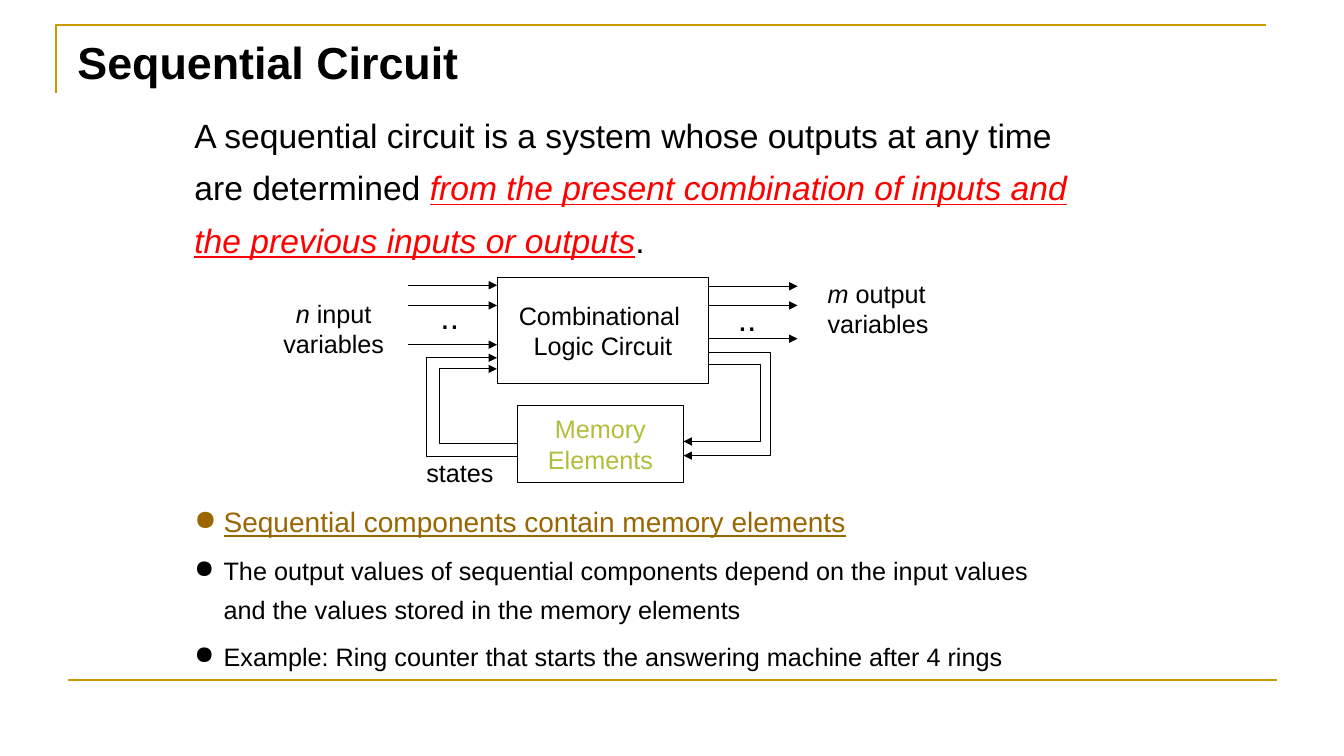
from lxml import etree
from pptx import Presentation
from pptx.dml.color import RGBColor
from pptx.enum.shapes import MSO_CONNECTOR, MSO_SHAPE
from pptx.enum.text import MSO_ANCHOR, MSO_AUTO_SIZE, PP_ALIGN
from pptx.oxml.ns import qn
from pptx.util import Inches, Pt

STRAIGHT, RECTANGLE = MSO_CONNECTOR.STRAIGHT, MSO_SHAPE.RECTANGLE
LEFT, CENTER = PP_ALIGN.LEFT, PP_ALIGN.CENTER
MIDDLE, GROW = MSO_ANCHOR.MIDDLE, MSO_AUTO_SIZE.SHAPE_TO_FIT_TEXT

SLIDE_W, SLIDE_H = 13.33, 7.5
COLORS = {"ink": "000000", "paper": "FFFFFF", "gold": "CC9900",
          "red": "FF0000", "brown": "996600", "lime": "AFBF39"}
FONT = "Arial"
BODY_LEFT = 1.83

# A paragraph is a list of (text, format) runs.
BASE = {"size": 18, "color": "ink"}
ITALIC = {"italic": True}
BIG = {"size": 24}
TITLE = [[("Sequential Circuit", {"size": 32, "bold": True})]]
DEFINITION = [[
    ("A sequential circuit is a system whose outputs at any time are determined ", BIG),
    ("from the present combination of inputs and the previous inputs or outputs",
     {"size": 24, "color": "red", "italic": True, "underline": True}),
    (".", BIG)]]
BULLETS = [
    [("Sequential components contain memory elements",
      {"size": 20, "color": "brown", "underline": True})],
    [("The output values of sequential components depend on the input values "
      "and the values stored in the memory elements", {})],
    [("Example: Ring counter that starts the answering machine after 4 rings", {})]]
LOGIC = [[("Combinational ", {})], [("Logic Circuit", {})]]
MEMORY = [[("Memory", {"color": "lime"})], [("Elements", {"color": "lime"})]]
INPUTS = [[("n", ITALIC), (" input", {})], [("variables", {})]]
OUTPUTS = [[("m", ITALIC), (" output", {})], [("variables", {})]]
DOTS = [[("..", BIG)]]
STATES = [[("states", {})]]

# Left, top, width, height of the two blocks
LOGIC_BOX = (4.93, 2.75, 2.1, 1.06)
MEMORY_BOX = (5.13, 4.02, 1.65, 0.77)
ARROW_LENGTH = 0.88
INPUT_ROWS = (2.83, 3.03, 3.42)
OUTPUT_ROWS = (2.84, 3.03, 3.36)
# Outer column, row at the logic block, row at the memory block
OUTPUT_LOOPS = ((7.54, 3.62, 4.38), (7.64, 3.5, 4.52))
STATE_LOOPS = ((4.36, 3.66, 4.4), (4.23, 3.55, 4.53))

# Place, paragraphs, alignment
LABELS = [
    ((0.67, 0.3, 4.28, 0.64), TITLE, LEFT),
    ((4.27, 2.89, 0.39, 0.5), DOTS, LEFT),
    ((7.22, 2.91, 0.39, 0.5), DOTS, LEFT),
    ((2.71, 2.91, 1.2, 0.7), INPUTS, CENTER),
    ((8.11, 2.71, 1.24, 0.7), OUTPUTS, LEFT),
    ((4.13, 4.49, 0.87, 0.4), STATES, LEFT)]

prs = Presentation()
prs.slide_width, prs.slide_height = Inches(SLIDE_W), Inches(SLIDE_H)
slide = prs.slides.add_slide(prs.slide_layouts[6])
shapes = slide.shapes


def rgb(name):
    return RGBColor.from_string(COLORS[name])


def write(frame, paragraphs, align=LEFT, wrap=False, spacing=None):
    frame.word_wrap = wrap
    for index, runs in enumerate(paragraphs):
        para = frame.paragraphs[0] if index == 0 else frame.add_paragraph()
        para.alignment = align
        if spacing:
            para.line_spacing = spacing
        for text, changes in runs:
            run = para.add_run()
            run.text = text
            look = BASE | changes
            run.font.name = FONT
            run.font.size = Pt(look.pop("size"))
            run.font.color.rgb = rgb(look.pop("color"))
            for attribute, value in look.items():
                setattr(run.font, attribute, value)


def add_text(place, paragraphs, **options):
    frame = shapes.add_textbox(*map(Inches, place)).text_frame
    frame.auto_size = GROW
    write(frame, paragraphs, **options)
    return frame


def add_bullets(frame):
    for para, runs in zip(frame.paragraphs, BULLETS):
        size = (BASE | runs[0][1])["size"]
        para.space_before = Pt(size * 0.3)
        props = para._p.get_or_add_pPr()
        props.set("marL", str(Inches(0.29)))
        props.set("indent", str(-Inches(0.29)))
        etree.SubElement(props, qn("a:buChar")).set("char", "●")


def style_line(line, color="ink", width=0.75, arrow=False):
    line.color.rgb = rgb(color)
    line.width = Pt(width)
    if arrow:
        etree.SubElement(line._get_or_add_ln(), qn("a:tailEnd")).set("type", "triangle")


def add_line(x1, y1, x2, y2, **style):
    connector = shapes.add_connector(STRAIGHT, *map(Inches, (x1, y1, x2, y2)))
    style_line(connector.line, **style)
    etree.SubElement(connector._element.spPr, qn("a:effectLst"))


def add_bent_line(points, **style):
    start, *rest = [tuple(map(Inches, point)) for point in points]
    builder = shapes.build_freeform(*start)
    builder.add_line_segments(rest, close=False)
    outline = builder.convert_to_shape()
    outline.shadow.inherit = False
    outline.fill.background()
    style_line(outline.line, **style)


def add_block(place, paragraphs):
    block = shapes.add_shape(RECTANGLE, *map(Inches, place))
    block.shadow.inherit = False
    block.fill.solid()
    block.fill.fore_color.rgb = rgb("paper")
    style_line(block.line)
    block.text_frame.vertical_anchor = MIDDLE
    write(block.text_frame, paragraphs, align=CENTER)


# Slide frame
rule = {"color": "gold", "width": 1.5}
add_bent_line([(0.56, 0.92), (0.56, 0.25), (12.56, 0.25)], **rule)
add_line(0.67, 6.75, 12.67, 6.75, **rule)

# Text
add_text((BODY_LEFT, 0.97, 9.02, 2.2), DEFINITION, wrap=True, spacing=1.3)
for place, paragraphs, align in LABELS:
    add_text(place, paragraphs, align=align)
add_bullets(add_text((BODY_LEFT, 4.86, 8.57, 1.89), BULLETS, wrap=True, spacing=1.3))

# Circuit diagram
add_block(LOGIC_BOX, LOGIC)
add_block(MEMORY_BOX, MEMORY)
logic_left, memory_left = LOGIC_BOX[0], MEMORY_BOX[0]
logic_right = logic_left + LOGIC_BOX[2]
memory_right = memory_left + MEMORY_BOX[2]
for row in INPUT_ROWS:
    add_line(logic_left - ARROW_LENGTH, row, logic_left, row, arrow=True)
for row in OUTPUT_ROWS:
    add_line(logic_right, row, logic_right + ARROW_LENGTH, row, arrow=True)
for column, logic_row, memory_row in OUTPUT_LOOPS:
    add_bent_line([(logic_right, logic_row), (column, logic_row),
                   (column, memory_row), (memory_right, memory_row)], arrow=True)
for column, logic_row, memory_row in STATE_LOOPS:
    add_bent_line([(memory_left, memory_row), (column, memory_row),
                   (column, logic_row), (logic_left, logic_row)], arrow=True)

prs.save("out.pptx")
